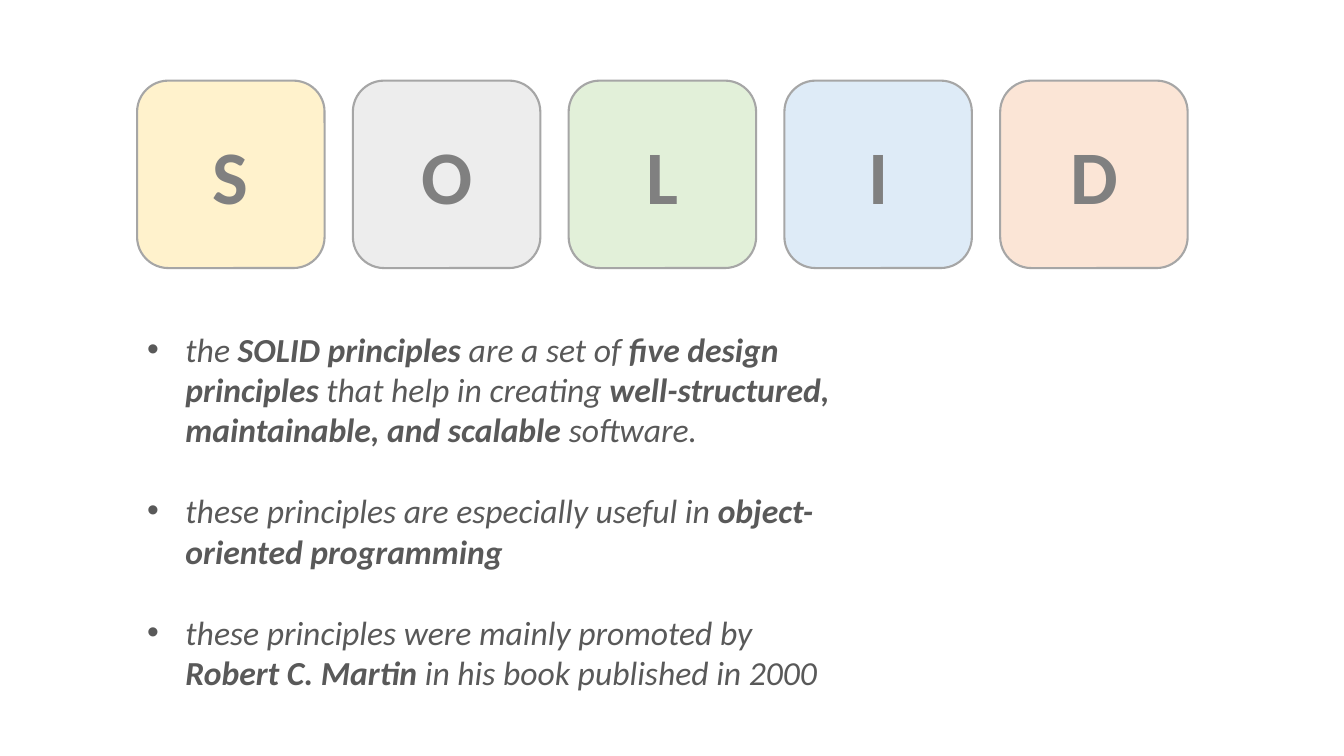
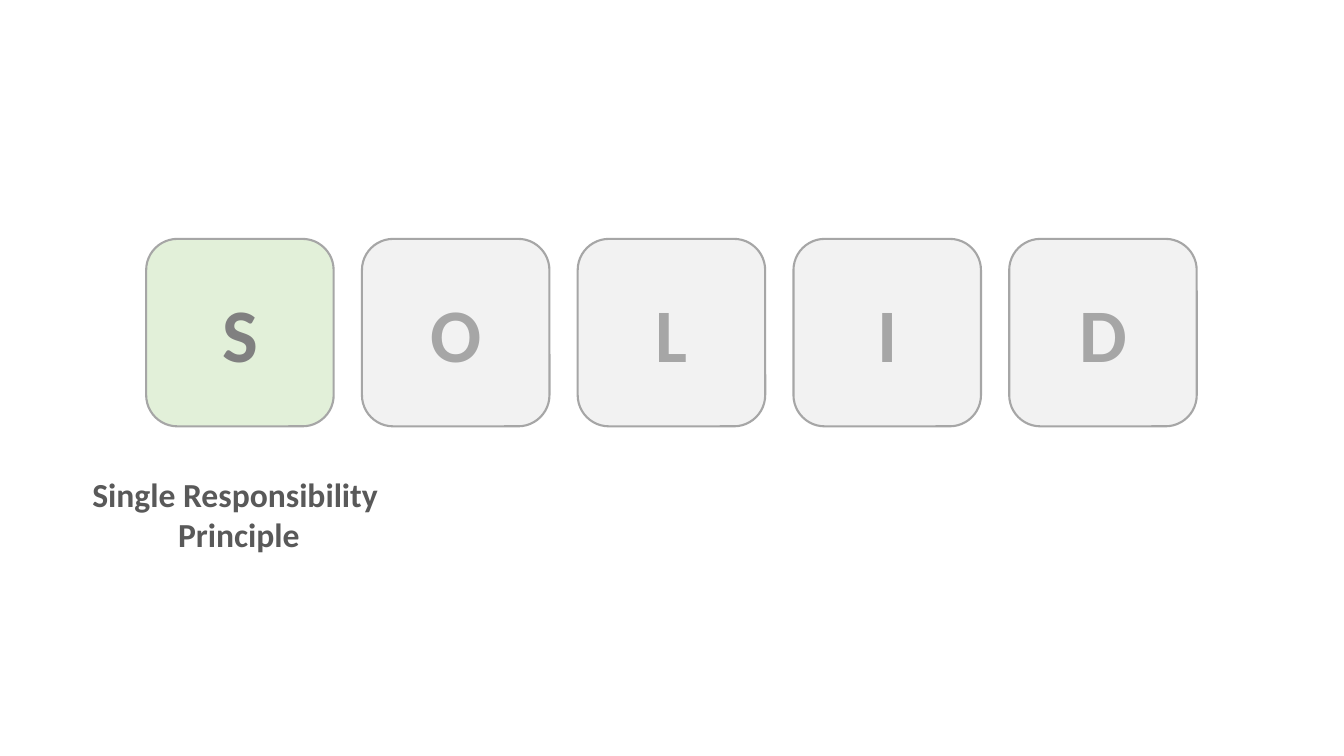
from typing import NamedTuple

from pptx import Presentation
from pptx.dml.color import RGBColor
from pptx.enum.shapes import MSO_SHAPE as SHAPE
from pptx.enum.text import MSO_ANCHOR as ANCHOR, MSO_AUTO_SIZE as AUTO, PP_ALIGN as ALIGN
from pptx.oxml import parse_xml
from pptx.oxml.ns import nsdecls
from pptx.util import Inches, Pt

# Shared look
TEXT, LETTER, MUTED = "595959", "808080", "A6A6A6"
GREEN, PALE = "E2F0D9", "F2F2F2"
TILE_SIZE, TILE_PITCH = 1.86, 2.14
LETTER_FONT = {"name": "Calibri", "size": Pt(54), "bold": True}
TEXT_FONT = {"name": "Calibri", "size": Pt(24)}


class Tile(NamedTuple):
    letter: str
    fill: str
    color: str = LETTER


class Box(NamedTuple):
    left: float
    top: float
    width: float
    height: float


PRINCIPLES = [
    Tile("S", "FFF2CC"),
    Tile("O", "EDEDED"),
    Tile("L", GREEN),
    Tile("I", "DEEBF7"),
    Tile("D", "FBE5D6"),
]
FIRST_ACTIVE = [Tile("S", GREEN)] + [Tile(c, PALE, MUTED) for c in "OLID"]

# Bold parts stand between asterisks
BULLETS = [
    "the *SOLID principles* are a set of *five design principles* that help in creating "
    "*well-structured, maintainable, and scalable* software.",
    "these principles are especially useful in *object-oriented programming*",
    "these principles were mainly promoted by *Robert C. Martin *in his book published in 2000",
]


def rgb(color: str) -> RGBColor:
    return RGBColor.from_string(color)


def set_font(r, color: str, **values) -> None:
    for name, value in values.items():
        setattr(r.font, name, value)
    r.font.color.rgb = rgb(color)


def place(sp, box: Box, **values):
    """Move a placeholder and format its text frame."""
    for name, value in box._asdict().items():
        setattr(sp, name, Inches(value))
    tf = sp.text_frame
    for name, value in values.items():
        setattr(tf, name, value)
    return tf


def add_paragraph(tf, first: bool):
    p = tf.paragraphs[0] if first else tf.add_paragraph()
    p.space_before = Pt(0)
    return p


def add_tiles(s, tiles: list[Tile], left: float, top: float) -> None:
    for i, tile in enumerate(tiles):
        sp = s.shapes.add_shape(
            SHAPE.ROUNDED_RECTANGLE, Inches(left + i * TILE_PITCH), Inches(top),
            Inches(TILE_SIZE), Inches(TILE_SIZE))
        sp.shadow.inherit = False
        sp.fill.solid()
        sp.fill.fore_color.rgb = rgb(tile.fill)
        sp.line.color.rgb = rgb(MUTED)
        sp.line.width = Pt(1.5)
        sp.text_frame.vertical_anchor = ANCHOR.MIDDLE
        p = sp.text_frame.paragraphs[0]
        p.alignment = ALIGN.CENTER
        r = p.add_run()
        r.text = tile.letter
        set_font(r, tile.color, **LETTER_FONT)


def add_bullets(sp, box: Box, items: list[str]) -> None:
    tf = place(sp, box, word_wrap=True, auto_size=AUTO.NONE, vertical_anchor=ANCHOR.TOP)
    for i, item in enumerate(items):
        p = add_paragraph(tf, i == 0)
        if i:
            p.space_before = Pt(29)
        pPr = p._p.get_or_add_pPr()
        pPr.set("marL", str(Inches(0.38)))
        pPr.set("indent", str(-Inches(0.38)))
        pPr.append(parse_xml(f'<a:buFont {nsdecls("a")} typeface="Arial"/>'))
        pPr.append(parse_xml(f'<a:buChar {nsdecls("a")} char="•"/>'))
        for j, part in enumerate(item.split("*")):
            if part:
                r = p.add_run()
                r.text = part
                set_font(r, TEXT, italic=True, bold=j % 2 == 1, **TEXT_FONT)


def add_caption(sp, box: Box, lines: list[str]) -> None:
    tf = place(sp, box, word_wrap=False, auto_size=AUTO.NONE, vertical_anchor=ANCHOR.TOP)
    for i, line in enumerate(lines):
        p = add_paragraph(tf, i == 0)
        p.alignment = ALIGN.CENTER
        r = p.add_run()
        r.text = line
        set_font(r, TEXT, bold=True, **TEXT_FONT)


def main() -> None:
    prs = Presentation()
    prs.slide_width, prs.slide_height = Inches(13.33), Inches(7.5)

    # Overview of the five principles
    s = prs.slides.add_slide(prs.slide_layouts[1])
    title = s.shapes.title._element
    title.getparent().remove(title)
    add_tiles(s, PRINCIPLES, 1.36, 0.8)
    add_bullets(s.placeholders[1], Box(1.36, 3.21, 6.97, 3.73), BULLETS)

    # First principle highlighted
    s = prs.slides.add_slide(prs.slide_layouts[5])
    add_tiles(s, FIRST_ACTIVE, 1.45, 2.37)
    add_caption(s.shapes.title, Box(0.8, 4.65, 3.14, 0.91),
                ["Single Responsibility ", "Principle"])

    prs.save("out.pptx")


if __name__ == "__main__":
    main()
